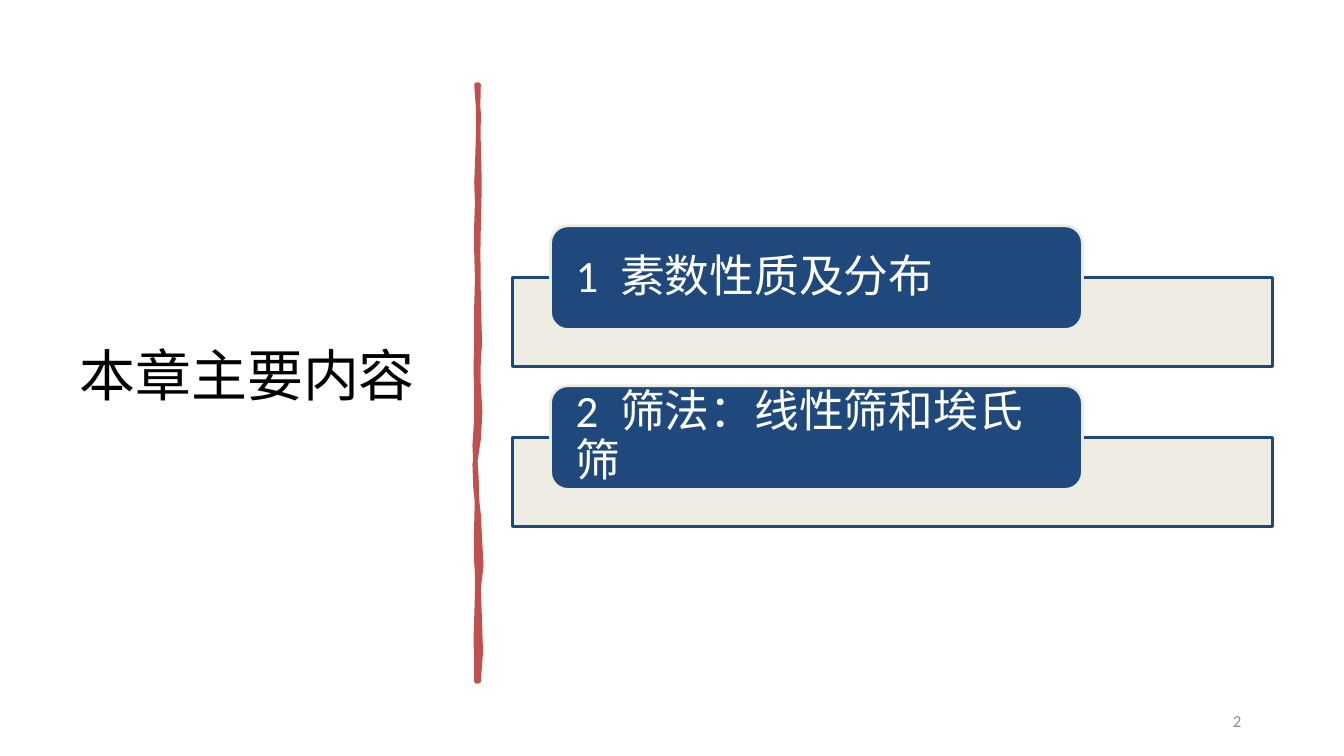
from dataclasses import dataclass

from lxml.etree import SubElement
from pptx import Presentation
from pptx.dml.color import RGBColor
from pptx.enum.shapes import MSO_SHAPE
from pptx.enum.text import MSO_ANCHOR, PP_ALIGN
from pptx.oxml.ns import qn
from pptx.util import Inches, Pt

# Content
HEADING = "本章主要内容"
TOPICS = ["1\t素数性质及分布", "2\t筛法：线性筛和埃氏筛"]
PAGE_NUMBER = "2"

# Brush stroke in inches: a start, then two handles and an end per curve
BRUSH_START = (4.75, 0.84)
BRUSH_EDGE = [
    (4.74, 1.03), (4.75, 1.16), (4.75, 1.46), (4.76, 1.74), (4.76, 1.91), (4.75, 2.26),
    (4.74, 2.58), (4.75, 2.62), (4.75, 2.94), (4.75, 3.25), (4.78, 3.42), (4.75, 3.56),
    (4.72, 3.72), (4.8, 4.14), (4.75, 4.36), (4.68, 4.62), (4.72, 4.83), (4.75, 5.1),
    (4.75, 5.35), (4.81, 5.63), (4.75, 5.84), (4.75, 6.06), (4.8, 6.53), (4.75, 6.76),
    (4.74, 6.75), (4.74, 6.76), (4.73, 6.76), (4.74, 6.45), (4.71, 6.44), (4.73, 6.13),
    (4.74, 5.83), (4.74, 5.7), (4.73, 5.57), (4.71, 5.46), (4.75, 4.94), (4.73, 4.77),
    (4.73, 4.62), (4.69, 4.47), (4.73, 4.15), (4.74, 3.86), (4.71, 3.73), (4.73, 3.35),
    (4.72, 3), (4.75, 2.79), (4.73, 2.5), (4.72, 2.16), (4.75, 2.03), (4.73, 1.81),
    (4.73, 1.65), (4.78, 1.04), (4.73, 0.84), (4.74, 0.84), (4.75, 0.84), (4.75, 0.84),
]
UNITS_PER_INCH = 1000

# Layout: left, top, width, height in percent of the slide
HEADING_AREA = (5.17, 9.33, 28.04, 81.47)
NUMBER_AREA = (70.61, 92.67, 22.49, 5.33)
BAR_AREA = (38.11, 36.72, 56.6, 11.73)
LABEL_AREA = (40.96, 29.87, 39.58, 13.73)
ROW_PITCH = 21.15


@dataclass(frozen=True)
class Theme:
    font: str = "Calibri"
    black: str = "000000"
    white: str = "FFFFFF"
    gray: str = "8C8C8C"
    navy: str = "1F497D"
    cream: str = "EEECE1"
    red: str = "C0504D"
    heading_size: int = 40
    topic_size: int = 32
    number_size: int = 12


theme = Theme()
deck = Presentation()
deck.slide_width, deck.slide_height = Inches(13.34), Inches(7.5)
slide = deck.slides.add_slide(deck.slide_layouts[6])


def place(area, row=0):
    left, top, width, height = area
    across, down = deck.slide_width / 100, deck.slide_height / 100
    return [round(v) for v in (left * across, (top + row * ROW_PITCH) * down,
                               width * across, height * down)]


def paint(shape, fill, line, weight=2):
    shape.shadow.inherit = False
    for part, color in ((shape.fill, fill), (shape.line.fill, line)):
        part.solid()
        part.fore_color.rgb = RGBColor.from_string(color)
    shape.line.width = Pt(weight)


def write(shape, text, size, color, align=PP_ALIGN.LEFT, spacing=1.0, inset=None, tab=None):
    frame = shape.text_frame
    layout = {"word_wrap": True, "vertical_anchor": MSO_ANCHOR.MIDDLE}
    if inset is not None:
        layout |= {"margin_left": inset, "margin_right": inset,
                   "margin_top": 0, "margin_bottom": 0}
    for key, value in layout.items():
        setattr(frame, key, value)
    paragraph = frame.paragraphs[0]
    if tab:
        stops = SubElement(paragraph._p.get_or_add_pPr(), qn("a:tabLst"))
        SubElement(stops, qn("a:tab"), pos=str(tab), algn="l")
    paragraph.alignment, paragraph.line_spacing = align, spacing
    run = paragraph.add_run()
    run.text = text
    for key, value in {"name": theme.font, "size": Pt(size)}.items():
        setattr(run.font, key, value)
    run.font.color.rgb = RGBColor.from_string(color)


def trace(start, curves, steps=3):
    """Sample points along a chain of cubic curves, in drawing units."""
    points = []
    for a, b, end in zip(curves[::3], curves[1::3], curves[2::3]):
        for t in (i / steps for i in range(1, steps + 1)):
            u = 1 - t
            points.append([UNITS_PER_INCH * (u**3 * p + 3 * u * u * t * q
                                             + 3 * u * t * t * r + t**3 * s)
                           for p, q, r, s in zip(start, a, b, end)])
        start = end
    return points


# Heading
write(slide.shapes.add_textbox(*place(HEADING_AREA)), HEADING,
      theme.heading_size, theme.black, spacing=0.9)

# Brush stroke divider
builder = slide.shapes.build_freeform(*(UNITS_PER_INCH * v for v in BRUSH_START),
                                      scale=Inches(1) / UNITS_PER_INCH)
builder.add_line_segments(trace(BRUSH_START, BRUSH_EDGE), close=True)
brush = builder.convert_to_shape()
paint(brush, theme.red, theme.red, 3.25)
SubElement(brush.line._get_or_add_ln(), qn("a:round"))

# Page number
write(slide.shapes.add_textbox(*place(NUMBER_AREA)), PAGE_NUMBER,
      theme.number_size, theme.gray, PP_ALIGN.RIGHT)

# Topics: a pale bar with a label on its upper edge
for row, topic in enumerate(TOPICS):
    bar = slide.shapes.add_shape(MSO_SHAPE.RECTANGLE, *place(BAR_AREA, row))
    paint(bar, theme.cream, theme.navy)
    bar_color = bar._element.spPr.find(qn("a:solidFill"))[0]
    SubElement(bar_color, qn("a:alpha"), val="90000")
    label = slide.shapes.add_shape(MSO_SHAPE.ROUNDED_RECTANGLE, *place(LABEL_AREA, row))
    paint(label, theme.navy, theme.cream)
    write(label, topic, theme.topic_size, theme.white, spacing=0.9,
          inset=Inches(0.2), tab=Inches(0.44))

deck.save("out.pptx")
